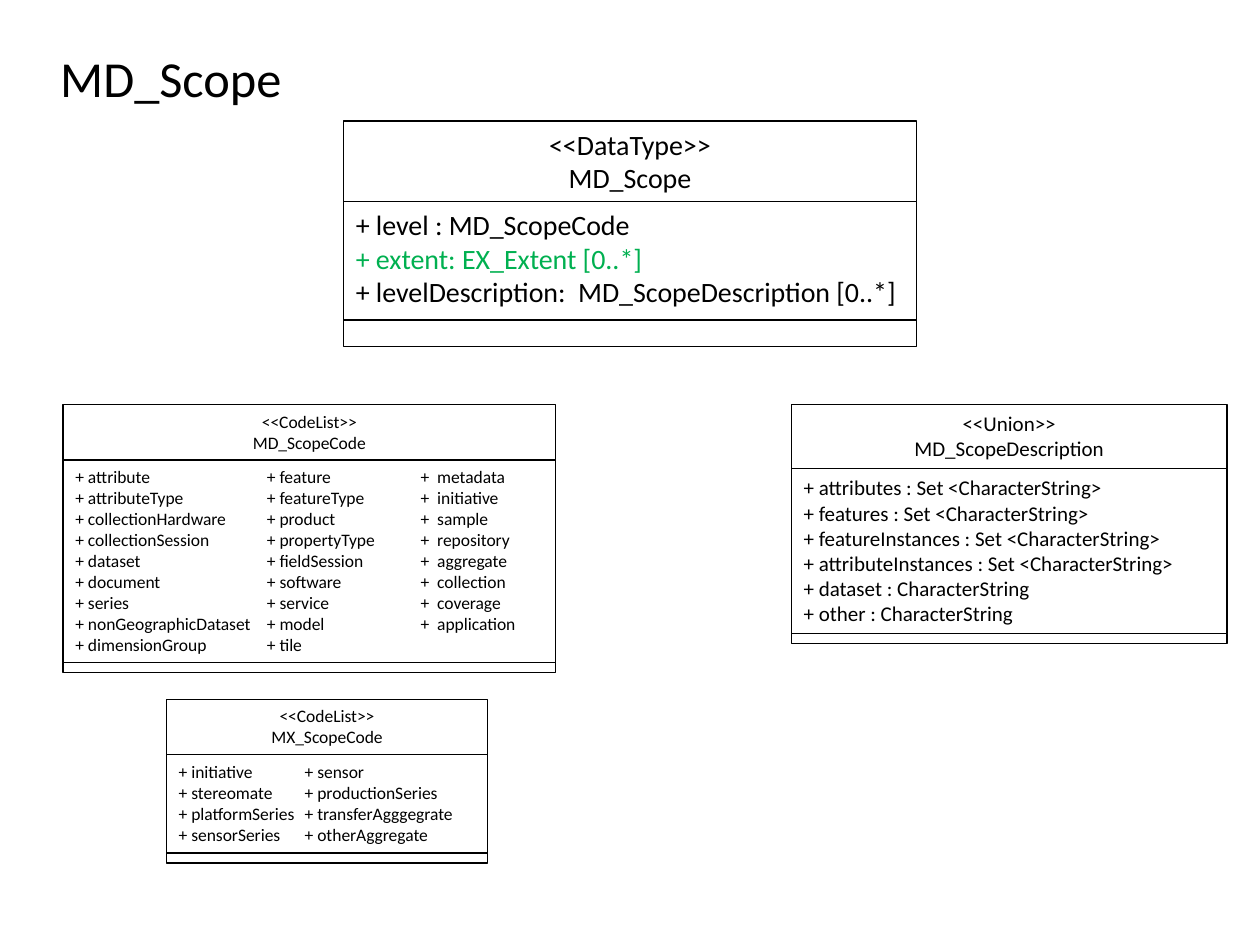
from dataclasses import dataclass
from typing import Optional

from lxml.etree import SubElement
from pptx import Presentation
from pptx.dml.color import RGBColor
from pptx.enum.shapes import MSO_SHAPE as Shape
from pptx.enum.text import MSO_ANCHOR as Anchor, PP_ALIGN as Align
from pptx.oxml.ns import qn
from pptx.util import Inches, Pt

BLACK = RGBColor(0x00, 0x00, 0x00)
WHITE = RGBColor(0xFF, 0xFF, 0xFF)
GREEN = RGBColor(0x00, 0xB0, 0x50)
FONT = "Calibri"
COLS, ROWS = 100, 75  # grid over the slide

prs = Presentation()
prs.slide_width, prs.slide_height = Inches(10), Inches(7.5)


@dataclass
class Column:
    """An extra list laid over the attribute compartment."""
    left: float
    width: float
    height: float
    lines: list[str]


@dataclass
class UmlClass:
    """A three-part class box; lengths are grid columns and rows."""
    stereotype: str
    name: str
    left: float
    top: float
    width: float
    heights: tuple[float, float, float]
    size: float
    lines: list[str]
    columns: tuple[Column, ...] = ()
    green: tuple[int, ...] = ()
    fill: Optional[RGBColor] = None


def grid(left: float, top: float, width: float, height: float) -> list[int]:
    """Turn grid columns and rows into slide lengths."""
    x, y = prs.slide_width / COLS, prs.slide_height / ROWS
    return [round(v) for v in (left * x, top * y, width * x, height * y)]


def write(sp, lines: list[str], *, size: float, align=Align.LEFT,
          anchor=Anchor.TOP, green: tuple[int, ...] = ()) -> None:
    """Fill a shape with one paragraph per line."""
    tf = sp.text_frame
    tf.word_wrap = True
    tf.vertical_anchor = anchor
    for i, line in enumerate(lines):
        p = tf.paragraphs[0] if i == 0 else tf.add_paragraph()
        p.alignment = align
        if "\t" in line:
            tabs = SubElement(p._p.get_or_add_pPr(), qn("a:tabLst"))
            SubElement(tabs, qn("a:tab"), pos=str(Inches(1)), algn="l")
        r = p.add_run()
        r.text = line
        r.font.name = FONT
        r.font.size = Pt(size)
        r.font.color.rgb = GREEN if i in green else BLACK


def draw_class(shapes, uml: UmlClass) -> None:
    """Draw the name, attribute and operation compartments as a group."""
    group = shapes.add_group_shape().shapes
    header = [f"<<{uml.stereotype}>>", uml.name]
    parts = ((header, Align.CENTER, ()), (uml.lines, Align.LEFT, uml.green),
             ([], Align.LEFT, ()))
    top = uml.top
    for height, (lines, align, green) in zip(uml.heights, parts):
        sp = group.add_shape(Shape.RECTANGLE,
                             *grid(uml.left, top, uml.width, height))
        sp.shadow.inherit = False
        if uml.fill is None:
            sp.fill.background()
        else:
            sp.fill.solid()
            sp.fill.fore_color.rgb = uml.fill
        sp.line.color.rgb = BLACK
        sp.line.width = Pt(0.75)
        write(sp, lines, size=uml.size, align=align, green=green)
        top += height
    for col in uml.columns:
        sp = group.add_textbox(*grid(col.left, uml.top + uml.heights[0],
                                     col.width, col.height))
        write(sp, col.lines, size=uml.size)


CLASSES = [
    UmlClass("DataType", "MD_Scope", 27.25, 9.6, 45.5, (6.4, 9.4, 2.1), 16, [
        "+ level : MD_ScopeCode",
        "+ extent: EX_Extent [0..*]",
        "+ levelDescription:  MD_ScopeDescription [0..*]",
    ], green=(1,), fill=WHITE),
    UmlClass("CodeList", "MX_ScopeCode", 13.2, 55.5, 25.5, (4.4, 7.8, 0.8), 10, [
        "+ initiative\t+ sensor",
        "+ stereomate\t+ productionSeries",
        "+ platformSeries\t+ transferAgggegrate",
        "+ sensorSeries\t+ otherAggregate",
    ]),
    UmlClass("CodeList", "MD_ScopeCode", 5, 32.1, 39.1, (4.4, 16.1, 0.8), 10, [
        "+ attribute", "+ attributeType", "+ collectionHardware",
        "+ collectionSession", "+ dataset", "+ document", "+ series",
        "+ nonGeographicDataset", "+ dimensionGroup",
    ], columns=(
        Column(32.4, 10.1, 14.5, [
            "+  metadata", "+  initiative", "+  sample", "+  repository",
            "+  aggregate", "+  collection", "+  coverage", "+  application",
        ]),
        Column(20.2, 11.5, 16.2, [
            "+ feature", "+ featureType", "+ product", "+ propertyType",
            "+ fieldSession", "+ software", "+ service", "+ model", "+ tile",
        ]),
    )),
    UmlClass("Union", "MD_ScopeDescription", 62.8, 32.1, 34.6,
             (5.1, 13.1, 0.8), 12, [
        "+ attributes : Set <CharacterString>",
        "+ features : Set <CharacterString>",
        "+ featureInstances : Set <CharacterString>",
        "+ attributeInstances : Set <CharacterString>",
        "+ dataset : CharacterString",
        "+ other : CharacterString",
    ]),
]


def main() -> None:
    slide = prs.slides.add_slide(prs.slide_layouts[6])
    # Title
    title = slide.shapes.add_textbox(*grid(3.8, 3.1, 90, 6.1))
    write(title, ["MD_Scope"], size=28.8, anchor=Anchor.MIDDLE)
    # Class boxes
    for uml in CLASSES:
        draw_class(slide.shapes, uml)
    prs.save("out.pptx")


if __name__ == "__main__":
    main()
